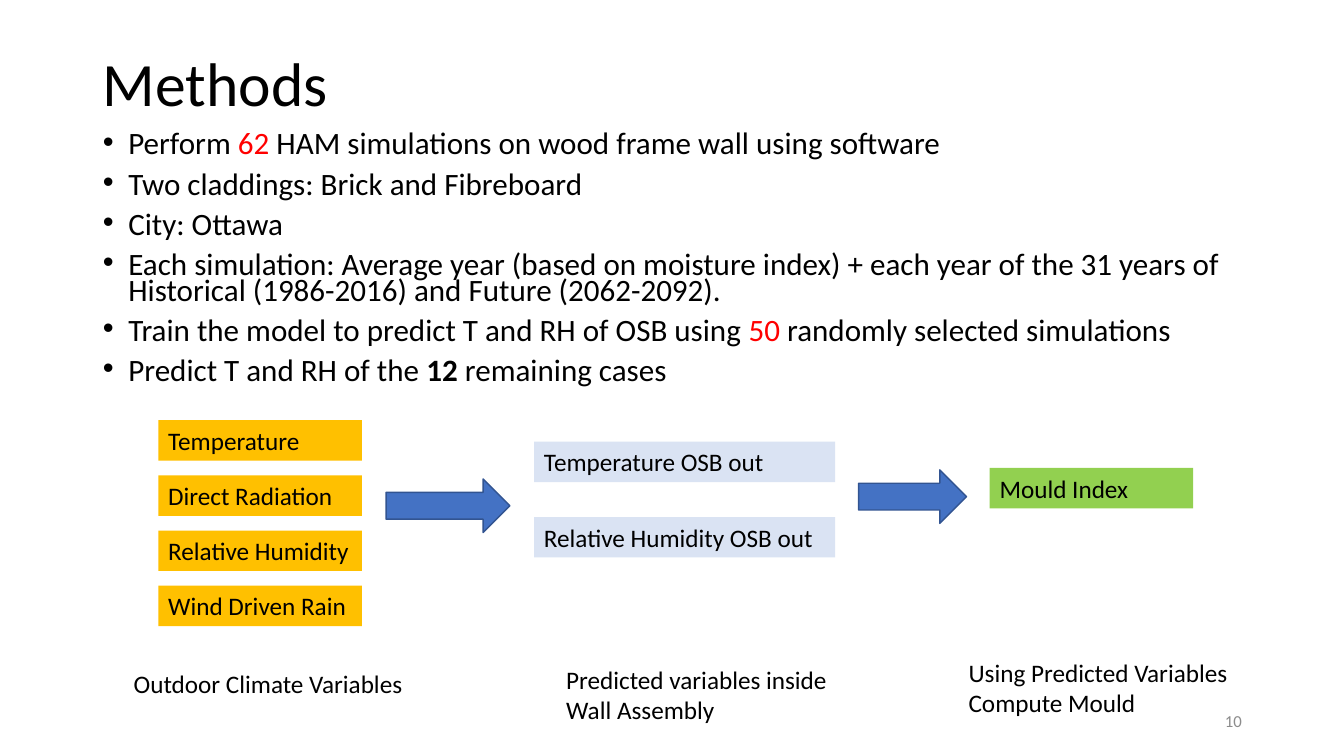
from collections import namedtuple

from pptx import Presentation
from pptx.dml.color import RGBColor
from pptx.enum.shapes import MSO_SHAPE
from pptx.enum.text import MSO_ANCHOR, MSO_AUTO_SIZE, PP_ALIGN
from pptx.util import Cm, Pt

Box = namedtuple("Box", "left top width height")

FONT = "Calibri"
COLOURS = {
    "text": "000000",
    "highlight": "FF0000",
    "number": "8C8C8C",
    "climate": "FFC000",
    "predicted": "DAE3F3",
    "mould": "92D050",
    "arrow": "4472C4",
    "arrow_line": "325491",
}
LABEL_HEIGHT = 1.02
BULLETS = [
    [("Perform ", None), ("62 ", "red"), ("HAM simulations on wood frame wall using software", None)],
    [("Two claddings: Brick and Fibreboard", None)],
    [("City: Ottawa", None)],
    [("Each simulation: Average year (based on moisture index) + each year of the 31 years of "
      "Historical (1986-2016) and Future (2062-2092).", None)],
    [("Train the model to predict T and RH of OSB using ", None), ("50", "red"),
     (" randomly selected simulations", None)],
    [("Predict T and RH of the ", None), ("12", "bold"), (" remaining cases", None)],
]


def colour(name):
    """Return the named palette colour."""
    return RGBColor.from_string(COLOURS[name])


def place(shape, box):
    """Move and size a shape to a box given in centimetres."""
    shape.left, shape.top, shape.width, shape.height = map(Cm, box)


def format_paragraph(paragraph, size, colour_name="text", alignment=PP_ALIGN.LEFT):
    """Set the font and alignment of a paragraph."""
    paragraph.alignment = alignment
    paragraph.font.name = FONT
    paragraph.font.size = Pt(size)
    paragraph.font.color.rgb = colour(colour_name)


def add_title(slide, box, text):
    """Fill the title placeholder."""
    title = slide.shapes.title
    place(title, box)
    title.text_frame.text = text
    title.text_frame.auto_size = MSO_AUTO_SIZE.NONE
    title.text_frame.vertical_anchor = MSO_ANCHOR.MIDDLE
    paragraph = title.text_frame.paragraphs[0]
    format_paragraph(paragraph, 44)
    paragraph.line_spacing = 0.9


def add_bullets(slide, box, bullets):
    """Fill the body placeholder with bullets of styled runs."""
    body = slide.placeholders[1]
    place(body, box)
    frame = body.text_frame
    frame.auto_size = MSO_AUTO_SIZE.NONE
    for index, pieces in enumerate(bullets):
        paragraph = frame.add_paragraph() if index else frame.paragraphs[0]
        format_paragraph(paragraph, 22.2)
        paragraph.line_spacing = 0.7
        paragraph.space_before = Pt(10)
        properties = paragraph._p.get_or_add_pPr()
        properties.set("marL", str(Cm(0.64)))
        properties.set("indent", str(-Cm(0.64)))
        for text, style in pieces:
            run = paragraph.add_run()
            run.text = text
            if style == "red":
                run.font.color.rgb = colour("highlight")
            elif style == "bold":
                run.font.bold = True


def add_text(slide, box, text, size=18, colour_name="text", alignment=PP_ALIGN.LEFT):
    """Add a wrapped text box with one paragraph and return it."""
    text_box = slide.shapes.add_textbox(*map(Cm, box))
    text_box.text_frame.word_wrap = True
    text_box.text_frame.text = text
    format_paragraph(text_box.text_frame.paragraphs[0], size, colour_name, alignment)
    return text_box


def add_stage(slide, box, labels, fill_name):
    """Spread filled labels evenly from the top to the bottom of a box."""
    pitch = (box.height - LABEL_HEIGHT) / max(len(labels) - 1, 1)
    for index, label in enumerate(labels):
        label_box = Box(box.left, box.top + index * pitch, box.width, LABEL_HEIGHT)
        shape = add_text(slide, label_box, label)
        shape.fill.solid()
        shape.fill.fore_color.rgb = colour(fill_name)


def add_arrow(slide, box):
    """Add a block arrow between two stages."""
    arrow = slide.shapes.add_shape(MSO_SHAPE.RIGHT_ARROW, *map(Cm, box))
    arrow.shadow.inherit = False
    arrow.fill.solid()
    arrow.fill.fore_color.rgb = colour("arrow")
    arrow.line.color.rgb = colour("arrow_line")
    arrow.line.width = Pt(1)


def add_workflow(slide, box):
    """Add the three stages with their captions and arrows inside a box."""
    def inside(left, top, width, height):
        return Box(box.left + left, box.top + top, width, height)

    add_stage(slide, inside(0.87, 0, 5.13, 5.19),
              ["Temperature", "Direct Radiation", "Relative Humidity", "Wind Driven Rain"], "climate")
    add_arrow(slide, inside(6.61, 1.48, 3.12, 1.35))
    add_stage(slide, inside(10.34, 0.54, 7.59, 2.92),
              ["Temperature OSB out", "Relative Humidity OSB out"], "predicted")
    add_arrow(slide, inside(18.52, 1.25, 2.72, 1.35))
    add_stage(slide, inside(21.82, 1.2, 5.13, LABEL_HEIGHT), ["Mould Index"], "mould")
    add_text(slide, inside(0, 6.12, 7.39, 1.02), "Outdoor Climate Variables")
    add_text(slide, inside(10.9, 6.02, 7.8, 1.8), "Predicted variables inside Wall Assembly")
    add_text(slide, inside(21.04, 5.84, 8.89, 1.8), "Using Predicted Variables Compute Mould")


def add_slide_number(slide, box, number):
    """Add the slide number at the lower right."""
    text_box = add_text(slide, box, number, 12, "number", PP_ALIGN.RIGHT)
    text_box.text_frame.vertical_anchor = MSO_ANCHOR.MIDDLE


def main():
    """Build and save the methods slide."""
    presentation = Presentation()
    presentation.slide_width = Cm(33.87)
    presentation.slide_height = Cm(19.05)
    slide = presentation.slides.add_slide(presentation.slide_layouts[1])
    add_title(slide, Box(2.34, 0.33, 29.21, 3.68), "Methods")
    add_bullets(slide, Box(2.34, 3.25, 29.21, 6.63), BULLETS)
    add_slide_number(slide, Box(23.93, 17.65, 7.62, 1.02), "10")
    add_workflow(slide, Box(3.12, 10.59, 29.93, 7.82))
    presentation.save("out.pptx")


if __name__ == "__main__":
    main()
